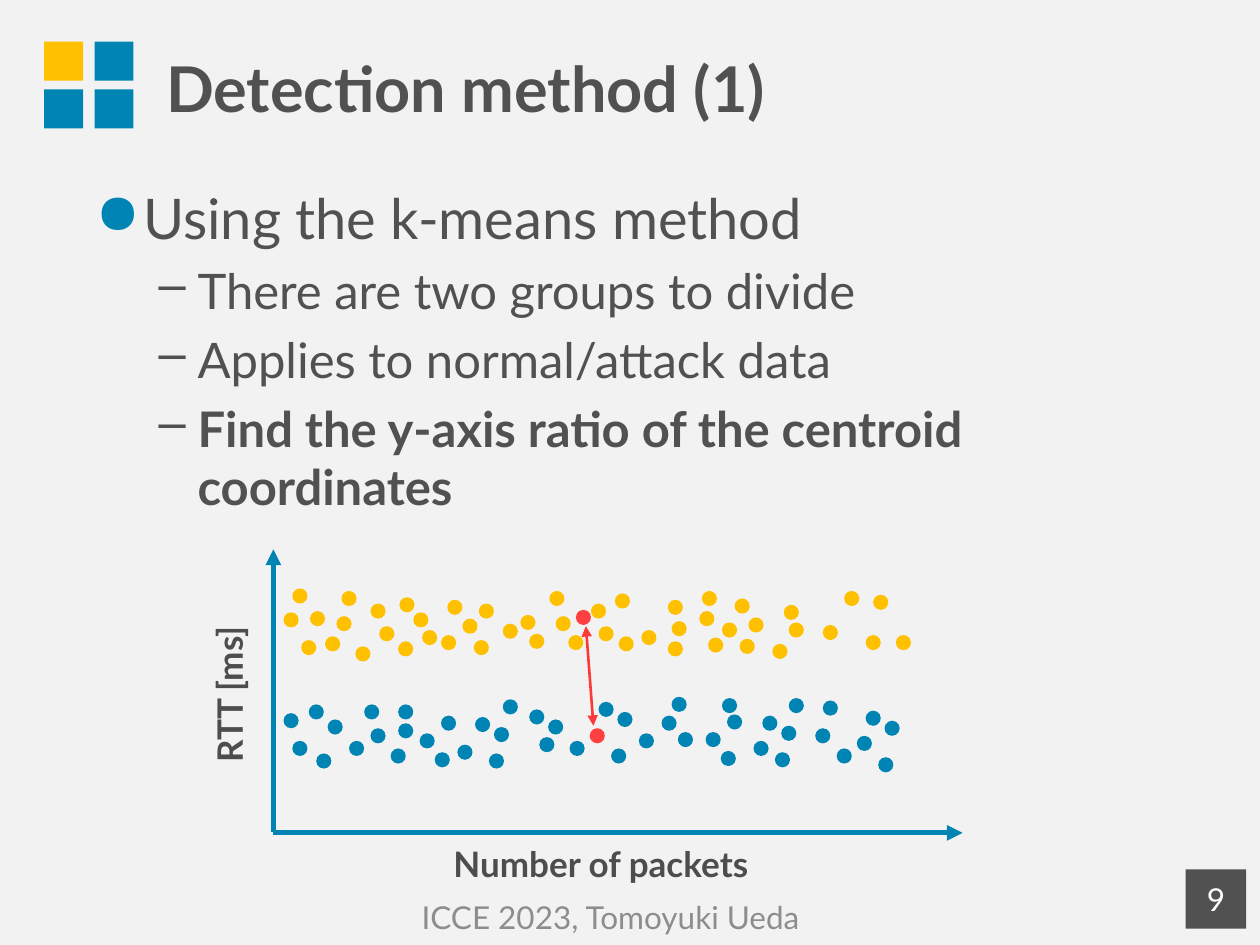
"""Build the "Detection method (1)" slide: k-means bullets above a two-cluster sketch."""
from dataclasses import dataclass
from itertools import product
from typing import NamedTuple, Optional

from lxml.etree import SubElement
from pptx import Presentation
from pptx.dml.color import RGBColor
from pptx.enum.shapes import MSO_CONNECTOR as Connector, MSO_SHAPE as Preset
from pptx.enum.text import MSO_ANCHOR as Anchor, PP_ALIGN as Align
from pptx.oxml.ns import qn
from pptx.util import Inches, Pt


@dataclass(frozen=True)
class Theme:
    background: str = "F2F2F2"
    normal: str = "0084B4"
    attack: str = "FFC000"
    centroid: str = "FF4040"
    distance: str = "FD3939"
    text: str = "515151"
    label: str = "4D4D4D"
    footer: str = "8D8D8D"
    white: str = "FFFFFF"
    font: str = "Lato"
    title_size: int = 36
    body_size: int = 32
    sub_size: int = 28
    label_size: int = 20
    small_size: int = 18


class Box(NamedTuple):
    column: float
    row: float
    columns: float
    rows: float


class Bullet(NamedTuple):
    text: str
    level: int = 0
    bold: bool = False


class BulletStyle(NamedTuple):
    mark: str
    color: str
    size: int
    margin: float
    hanging: float
    space_before: float


class Label(NamedTuple):
    text: str
    box: Box
    size: int
    color: str
    bold: bool = False
    align: Align = Align.LEFT
    anchor: Anchor = Anchor.TOP
    rotation: int = 0


class Arrow(NamedTuple):
    start: tuple[float, float]
    end: tuple[float, float]
    color: str
    width: float
    heads: tuple[str, ...] = ("tailEnd",)


THEME = Theme()
COLUMNS, ROWS = 100, 75
CELL = Inches(0.1)
DOT = 1.2

NORMAL_DOTS = (
    (22.5, 56.6), (23.2, 58.8), (24.5, 55.9), (25.1, 59.8), (26, 57.1), (27.7, 58.8),
    (28.9, 55.9), (29.4, 57.8), (31, 59.4), (31.6, 55.9), (31.6, 57.4), (33.3, 58.2),
    (34.5, 59.7), (35, 56.8), (36.3, 59.1), (37.7, 56.9), (38.8, 59.8), (39.2, 57.7),
    (39.9, 55.5), (42, 56.3), (42.8, 58.5), (43.5, 57.1), (45.2, 58.8), (47.5, 55.7),
    (48.5, 59.4), (49, 56.5), (50.7, 58.2), (52.5, 56.8), (53.3, 55.3), (53.8, 58.1),
    (56, 58.1), (57.2, 59.6), (57.3, 55.4), (57.7, 56.7), (59.8, 58.8), (60.5, 56.8),
    (61.5, 59.7), (62, 57.6), (62.6, 55.4), (64.7, 57.8), (65.3, 55.6), (66.4, 59.4),
    (68, 58.4), (68.7, 56.4), (69.7, 60.1), (70.2, 57.2),
)
ATTACK_DOTS = (
    (22.5, 48.6), (23.2, 46.7), (23.9, 50.8), (24.6, 48.5), (25.8, 50.5), (26.7, 48.9),
    (27.1, 46.9), (28.2, 51.3), (29.4, 47.9), (30.1, 49.7), (31.6, 50.9), (31.7, 47.4),
    (32.8, 48.6), (33.5, 50), (35, 50.4), (35.5, 47.6), (36.7, 49.1), (37.6, 50.8),
    (38, 47.9), (39.9, 49.5), (41.3, 48.8), (42, 50.3), (43.6, 46.9), (44.1, 48.9),
    (45.1, 50.4), (46.9, 47.9), (47.5, 49.7), (48.8, 47.1), (49.1, 50.5), (50.9, 50),
    (53, 47.6), (53, 50.9), (53.3, 49.3), (55.5, 48.5), (55.7, 46.9), (56.2, 50.6),
    (57.3, 49.4), (58.3, 47.5), (58.7, 50.7), (59.4, 49), (61.3, 51.1), (62.2, 48),
    (62.6, 49.4), (65.3, 49.6), (67, 46.9), (68.7, 50.4), (69.3, 47.2), (71.1, 50.4),
)
CENTROIDS = ((46.8, 57.8), (45.7, 48.4))
CLUSTERS = {THEME.normal: NORMAL_DOTS, THEME.attack: ATTACK_DOTS, THEME.centroid: CENTROIDS}

BULLETS = (
    Bullet("Using the k-means method"),
    Bullet("There are two groups to divide", 1),
    Bullet("Applies to normal/attack data", 1),
    Bullet("Find the y-axis ratio of the centroid coordinates", 1, True),
)
BULLET_STYLES = (
    BulletStyle("●", THEME.normal, THEME.body_size, 0.38, 0.38, 0),
    BulletStyle("–", THEME.text, THEME.sub_size, 0.81, 0.31, 5.6),
)
LABELS = (
    Label("Detection method (1)", Box(12.2, 0.5, 86.7, 12.8), THEME.title_size, THEME.text,
          bold=True, anchor=Anchor.MIDDLE),
    Label("RTT [ms]", Box(10.3, 51.4, 15.8, 4.4), THEME.label_size, THEME.label,
          bold=True, rotation=270),
    Label("Number of packets", Box(35, 66.4, 28, 4.4), THEME.label_size, THEME.label, bold=True),
    Label("ICCE 2023, Tomoyuki Ueda", Box(3.5, 70.8, 89.9, 4), THEME.small_size, THEME.footer,
          align=Align.CENTER, anchor=Anchor.MIDDLE),
)
PAGE_NUMBER = Label("9", Box(94.1, 69, 4.8, 4.7), THEME.small_size, THEME.white,
                    align=Align.CENTER, anchor=Anchor.MIDDLE)
ARROWS = (
    Arrow((21.7, 66), (21.7, 43.6), THEME.normal, 3),
    Arrow((21.7, 66.1), (76.4, 66.1), THEME.normal, 3),
    Arrow((46.5, 49.7), (47.1, 57.6), THEME.distance, 1.5, ("headEnd", "tailEnd")),
)


def cells(*lengths: float) -> list[int]:
    return [round(length * CELL) for length in lengths]


def style_font(font, size: int, color: str, bold: bool = False) -> None:
    for name, value in {"name": THEME.font, "size": Pt(size), "bold": bold}.items():
        setattr(font, name, value)
    font.color.rgb = RGBColor.from_string(color)


def add_preset(slide, preset: Preset, box: Box, color: str):
    shape = slide.shapes.add_shape(preset, *cells(*box))
    shape.shadow.inherit = False
    shape.fill.solid()
    shape.fill.fore_color.rgb = RGBColor.from_string(color)
    shape.line.fill.background()
    return shape


def add_label(slide, label: Label, shape: Optional[object] = None) -> None:
    shape = shape or slide.shapes.add_textbox(*cells(*label.box))
    shape.rotation = label.rotation
    frame = shape.text_frame
    for name, value in {"word_wrap": True, "vertical_anchor": label.anchor}.items():
        setattr(frame, name, value)
    paragraph = frame.paragraphs[0]
    paragraph.text = label.text
    paragraph.alignment = label.align
    style_font(paragraph.runs[0].font, label.size, label.color, label.bold)


def add_bullets(slide, box: Box, bullets: tuple[Bullet, ...]) -> None:
    frame = slide.shapes.add_textbox(*cells(*box)).text_frame
    frame.word_wrap = True
    for index, bullet in enumerate(bullets):
        style = BULLET_STYLES[bullet.level]
        paragraph = frame.add_paragraph() if index else frame.paragraphs[0]
        paragraph.text = bullet.text
        paragraph.level = bullet.level
        paragraph.space_before = Pt(style.space_before)
        properties = paragraph._p.get_or_add_pPr()
        properties.set("marL", str(Inches(style.margin)))
        properties.set("indent", str(-Inches(style.hanging)))
        SubElement(SubElement(properties, qn("a:buClr")), qn("a:srgbClr"), val=style.color)
        SubElement(properties, qn("a:buChar"), char=style.mark)
        style_font(paragraph.runs[0].font, style.size, THEME.text, bullet.bold)


def add_arrow(slide, arrow: Arrow) -> None:
    connector = slide.shapes.add_connector(Connector.STRAIGHT, *cells(*arrow.start, *arrow.end))
    connector.line.width = Pt(arrow.width)
    connector.line.color.rgb = RGBColor.from_string(arrow.color)
    line = connector.line._get_or_add_ln()
    for head in arrow.heads:
        SubElement(line, qn(f"a:{head}"), type="triangle")
    SubElement(connector._element.spPr, qn("a:effectLst"))


def add_logo_grid(slide, left: float, top: float, side: float, pitch: tuple[float, float]) -> None:
    for row, column in product(range(2), repeat=2):
        color = THEME.normal if row or column else THEME.attack
        box = Box(left + column * pitch[0], top + row * pitch[1], side, side)
        add_preset(slide, Preset.RECTANGLE, box, color)


def main() -> None:
    presentation = Presentation()
    presentation.slide_width, presentation.slide_height = cells(COLUMNS, ROWS)
    slide = presentation.slides.add_slide(presentation.slide_layouts[6])
    slide.background.fill.solid()
    slide.background.fill.fore_color.rgb = RGBColor.from_string(THEME.background)

    add_logo_grid(slide, 3.5, 3.3, 3.1, (4, 3.8))
    add_bullets(slide, Box(6.6, 14.1, 91.5, 52), BULLETS)
    for color, dots in CLUSTERS.items():
        for column, row in dots:
            add_preset(slide, Preset.FLOWCHART_CONNECTOR, Box(column, row, DOT, DOT), color)
    for arrow in ARROWS:
        add_arrow(slide, arrow)
    for label in LABELS:
        add_label(slide, label)
    add_label(slide, PAGE_NUMBER, add_preset(slide, Preset.RECTANGLE, PAGE_NUMBER.box, THEME.text))
    presentation.save("out.pptx")


if __name__ == "__main__":
    main()
